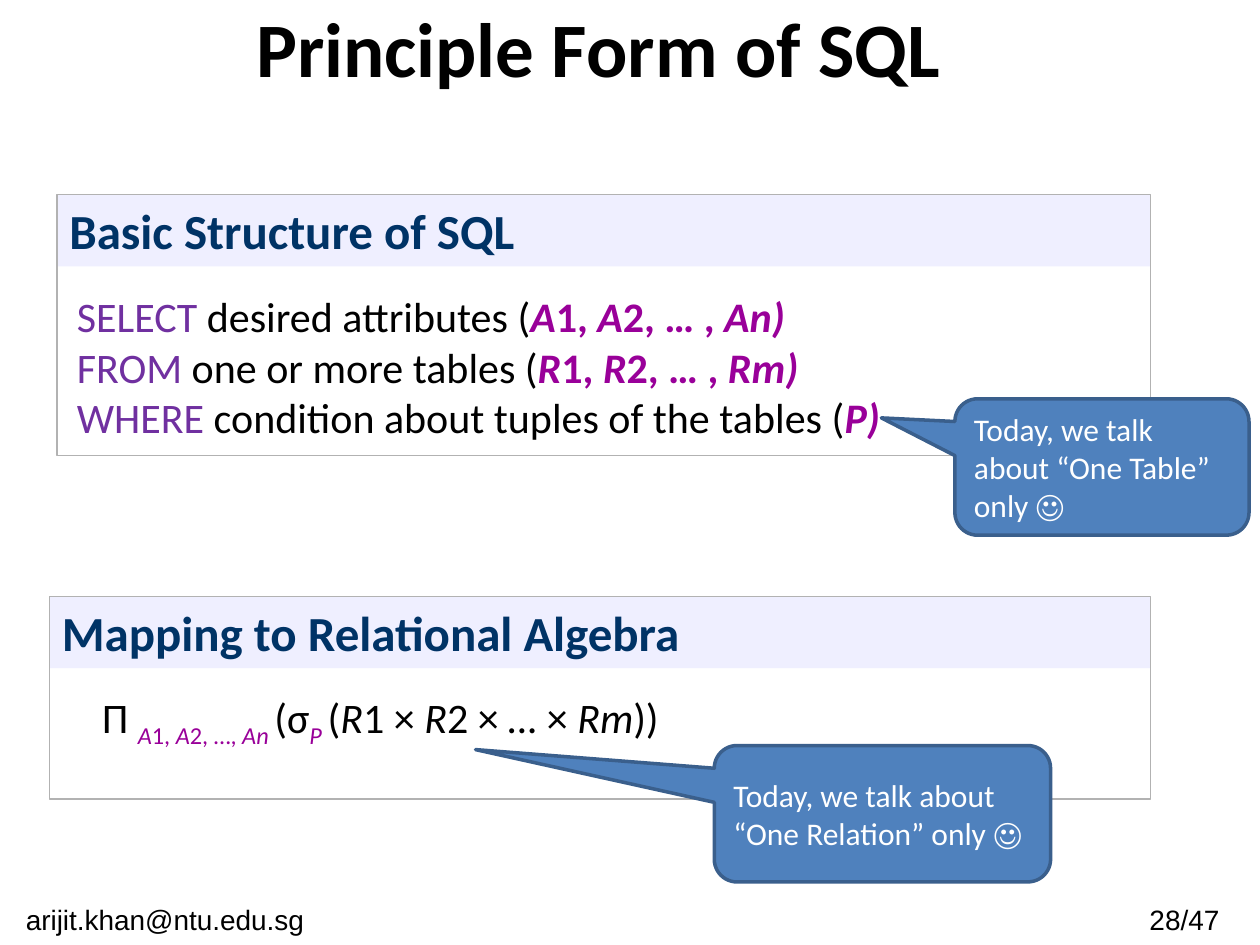
from pptx import Presentation
from pptx.dml.color import RGBColor
from pptx.enum.shapes import MSO_SHAPE
from pptx.enum.text import MSO_ANCHOR, PP_ALIGN
from pptx.util import Cm, Pt

BLACK = RGBColor(0x00, 0x00, 0x00)
WHITE = RGBColor(0xFF, 0xFF, 0xFF)
NAVY = RGBColor(0x00, 0x33, 0x66)
LAVENDER = RGBColor(0xEF, 0xEF, 0xFF)
GRAY = RGBColor(0xB2, 0xB2, 0xB2)
KEYWORD = RGBColor(0x70, 0x30, 0xA0)
VARIABLE = RGBColor(0x99, 0x00, 0x99)
BLUE = RGBColor(0x4F, 0x81, 0xBD)
DARK_BLUE = RGBColor(0x3A, 0x5F, 0x8C)


def write(shape, *lines, size, font="Calibri", color=BLACK, bold=False,
          align=PP_ALIGN.LEFT, anchor=MSO_ANCHOR.TOP):
    """Fill a shape; a line is a string or a list of (text, color, style).

    Style letters: b bold, i italic, s subscript.
    """
    frame = shape.text_frame
    frame.word_wrap = True
    frame.vertical_anchor = anchor
    for index, line in enumerate(lines):
        paragraph = frame.paragraphs[0] if index == 0 else frame.add_paragraph()
        paragraph.alignment = align
        if isinstance(line, str):
            line = [(line, color, "b" if bold else "")]
        for text, run_color, style in line:
            run = paragraph.add_run()
            run.text = text
            run.font.name = font
            run.font.size = Pt(size)
            run.font.color.rgb = run_color
            run.font.bold = "b" in style
            run.font.italic = "i" in style
            if "s" in style:
                run.font._element.set("baseline", "-25000")


def add_box(kind, box, fill=None, line=None, width=0.75):
    shape = slide.shapes.add_shape(kind, *map(Cm, box))
    shape.shadow.inherit = False
    if fill is None:
        shape.fill.background()
    else:
        shape.fill.solid()
        shape.fill.fore_color.rgb = fill
    if line is None:
        shape.line.fill.background()
    else:
        shape.line.color.rgb = line
        shape.line.width = Pt(width)
    return shape


presentation = Presentation()
presentation.slide_width = Cm(25.4)
presentation.slide_height = Cm(19.05)
slide = presentation.slides.add_slide(presentation.slide_layouts[6])

title = slide.shapes.add_textbox(Cm(0.64), Cm(0), Cm(22.86), Cm(1.9))
write(title, "Principle Form of SQL", size=44, bold=True,
      align=PP_ALIGN.CENTER, anchor=MSO_ANCHOR.MIDDLE)

# Footer
for text, left, width in [("28/47 ", 22.48, 2.95),
                          ("arijit.khan@ntu.edu.sg ", 0, 6.81)]:
    footer = slide.shapes.add_textbox(Cm(left), Cm(18.06), Cm(width), Cm(0.99))
    write(footer, text, size=16, font="Arial", align=PP_ALIGN.CENTER)

# Panels: heading band and frame
for heading, left, top, width, height in [
    ("Basic Structure of SQL", 1.15, 3.92, 22.05, 5.26),
    ("Mapping to Relational Algebra", 1, 12.02, 22.2, 4.09),
]:
    band = add_box(MSO_SHAPE.RECTANGLE, (left, top, width, 1.45), fill=LAVENDER)
    write(band, heading, size=28, color=NAVY, bold=True)
    add_box(MSO_SHAPE.RECTANGLE, (left, top, width, height), line=GRAY)

query = slide.shapes.add_textbox(Cm(1.3), Cm(5.74), Cm(21.51), Cm(3.33))
clauses = []
for keyword, description, letter, last in [
    ("SELECT", " desired attributes (", "A", "An)"),
    ("FROM", " one or more tables (", "R", "Rm)"),
]:
    clauses.append([
        (keyword, KEYWORD, ""), (description, BLACK, ""),
        (letter, VARIABLE, "bi"), ("1, ", VARIABLE, "b"),
        (letter, VARIABLE, "bi"), ("2, … , ", VARIABLE, "b"),
        (last, VARIABLE, "bi"),
    ])
clauses.append([
    ("WHERE", KEYWORD, ""),
    (" condition about tuples of the tables (", BLACK, ""),
    ("P)", VARIABLE, "bi"),
])
write(query, *clauses, size=24)

formula = slide.shapes.add_textbox(Cm(0.84), Cm(13.82), Cm(23.11), Cm(1.27))
formula.text_frame.margin_left = Cm(1.22)
write(formula, [
    ("Π ", BLACK, ""),
    ("A", VARIABLE, "is"), ("1, ", VARIABLE, "s"),
    ("A", VARIABLE, "is"), ("2, …, ", VARIABLE, "s"),
    ("An ", VARIABLE, "is"),
    ("(σ", BLACK, ""), ("P ", VARIABLE, "is"), ("(", BLACK, ""),
    ("R", BLACK, "i"), ("1 × ", BLACK, ""),
    ("R", BLACK, "i"), ("2 × ", BLACK, ""),
    ("… ", BLACK, "i"), ("× ", BLACK, ""),
    ("Rm", BLACK, "i"), ("))", BLACK, ""),
], size=24)

# Callouts, with the tip given relative to the size
for text, left, top, width, tip_x, tip_y in [
    ("Today, we talk about “One Table” only ☺", 19.25, 8.04, 5.93, -0.75, -0.36),
    ("Today, we talk about “One Relation” only ☺", 14.4, 15.03, 6.78, -1.21, -0.47),
]:
    callout = add_box(MSO_SHAPE.ROUNDED_RECTANGULAR_CALLOUT,
                      (left, top, width, 2.75), BLUE, DARK_BLUE, 2)
    callout.adjustments[0] = tip_x
    callout.adjustments[1] = tip_y
    write(callout, text, size=18, color=WHITE, anchor=MSO_ANCHOR.MIDDLE)

presentation.save("out.pptx")
